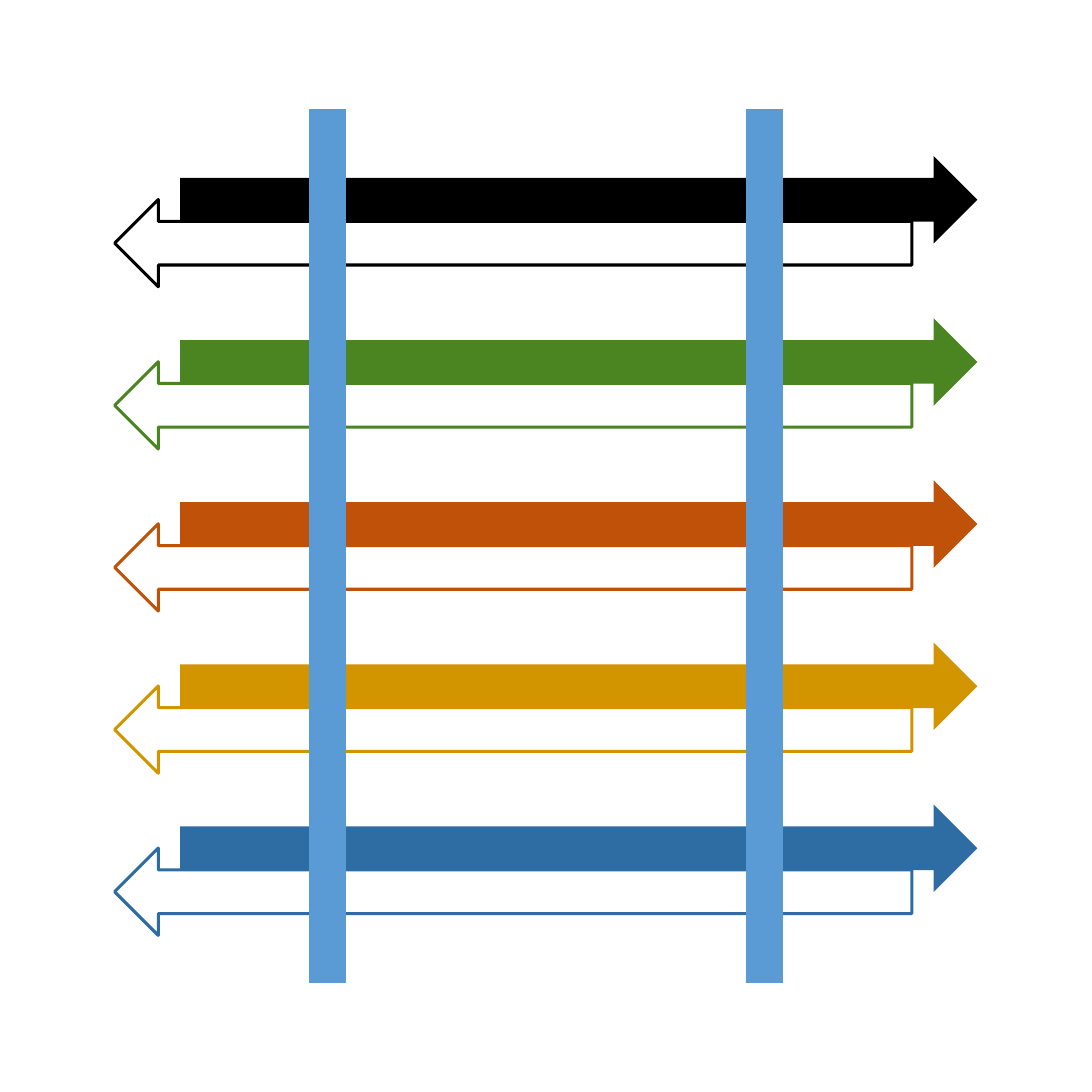
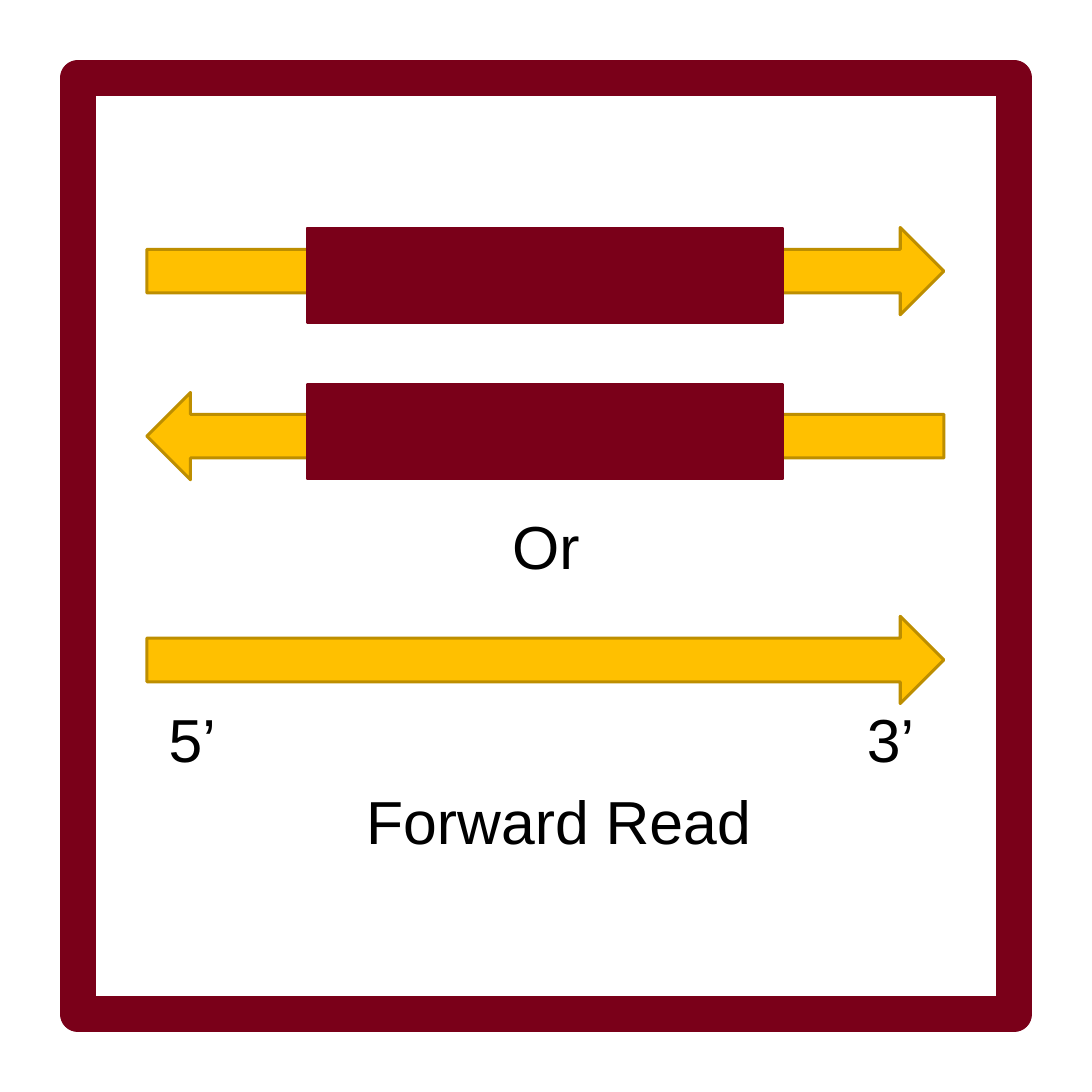
"""Build two square slides of sequencing read diagrams."""
from lxml import etree
from pptx import Presentation
from pptx.dml.color import RGBColor
from pptx.enum.shapes import MSO_CONNECTOR, MSO_SHAPE
from pptx.enum.text import MSO_AUTO_SIZE, PP_ALIGN
from pptx.oxml.ns import qn
from pptx.util import Pt

BLACK = RGBColor(0x00, 0x00, 0x00)
GREEN = RGBColor(0x4A, 0x85, 0x22)
ORANGE = RGBColor(0xBF, 0x51, 0x08)
OCHRE = RGBColor(0xD2, 0x95, 0x00)
BLUE = RGBColor(0x2E, 0x6C, 0xA4)
SKY = RGBColor(0x5B, 0x9B, 0xD5)
MAROON = RGBColor(0x7A, 0x00, 0x19)
GOLD = RGBColor(0xFF, 0xC0, 0x00)
DARK_GOLD = RGBColor(0xBD, 0x8E, 0x00)

ARROW_SIZE = (262.8, 28.8)
FORWARD, REVERSE = MSO_SHAPE.RIGHT_ARROW, MSO_SHAPE.LEFT_ARROW


def add_figure(slide, kind, left, top, size, fill=None, line=None, weight=1):
    shape = slide.shapes.add_shape(kind, Pt(left), Pt(top), Pt(size[0]), Pt(size[1]))
    shape.shadow.inherit = False
    for format_, colour in ((shape.fill, fill), (shape.line.fill, line)):
        if colour is None:
            format_.background()
        else:
            format_.solid()
            format_.fore_color.rgb = colour
    if line is not None:
        shape.line.width = Pt(weight)


def add_text(slide, text, *, left, top, width, height=31.5, size=20,
             font="Arial", colour=BLACK, align=PP_ALIGN.CENTER):
    box = slide.shapes.add_textbox(Pt(left), Pt(top), Pt(width), Pt(height))
    frame = box.text_frame
    frame.word_wrap = True
    frame.auto_size = MSO_AUTO_SIZE.SHAPE_TO_FIT_TEXT
    paragraph = frame.paragraphs[0]
    paragraph.alignment = align
    run = paragraph.add_run()
    run.text = text
    run.font.name = font
    run.font.size = Pt(size)
    run.font.color.rgb = colour


presentation = Presentation()
presentation.slide_width = presentation.slide_height = Pt(360)
blank_layout = presentation.slide_layouts[6]

slide = presentation.slides.add_slide(blank_layout)
read_colours = (BLACK, GREEN, ORANGE, OCHRE, BLUE)
row_top, row_step = 51.5, 53.45
for row, colour in enumerate(read_colours):
    top = row_top + row * row_step
    add_figure(slide, FORWARD, 59.4, top, ARROW_SIZE, fill=colour)
    add_figure(slide, REVERSE, 37.8, top + 14.3, ARROW_SIZE, line=colour)

for x in (108, 252):
    bar = slide.shapes.add_connector(MSO_CONNECTOR.STRAIGHT, Pt(x), Pt(36), Pt(x), Pt(324))
    bar.line.color.rgb = SKY
    bar.line.width = Pt(12)
    etree.SubElement(bar._element.spPr, qn("a:effectLst"))

slide = presentation.slides.add_slide(blank_layout)
add_figure(slide, MSO_SHAPE.RECTANGLE, 25.7, 25.7, (308.6, 308.6), line=MAROON, weight=12)
for kind, top in ((FORWARD, 203.2), (FORWARD, 75), (REVERSE, 129.4)):
    add_figure(slide, kind, 48.4, top, ARROW_SIZE, fill=GOLD, line=DARK_GOLD)
for top in (75.1, 126.8):
    add_figure(slide, MSO_SHAPE.RECTANGLE, 101.3, top, (156.8, 31.3),
               fill=MAROON, line=MAROON, weight=0.75)

add_text(slide, "Or", left=97.2, top=164.2, width=165.6)
add_text(slide, "Forward Read", left=101.4, top=255, width=165.6)
for text, left in (("5’", 46.8), ("3’", 277)):
    add_text(slide, text, left=left, top=227.7, width=33.2)

presentation.save("out.pptx")
